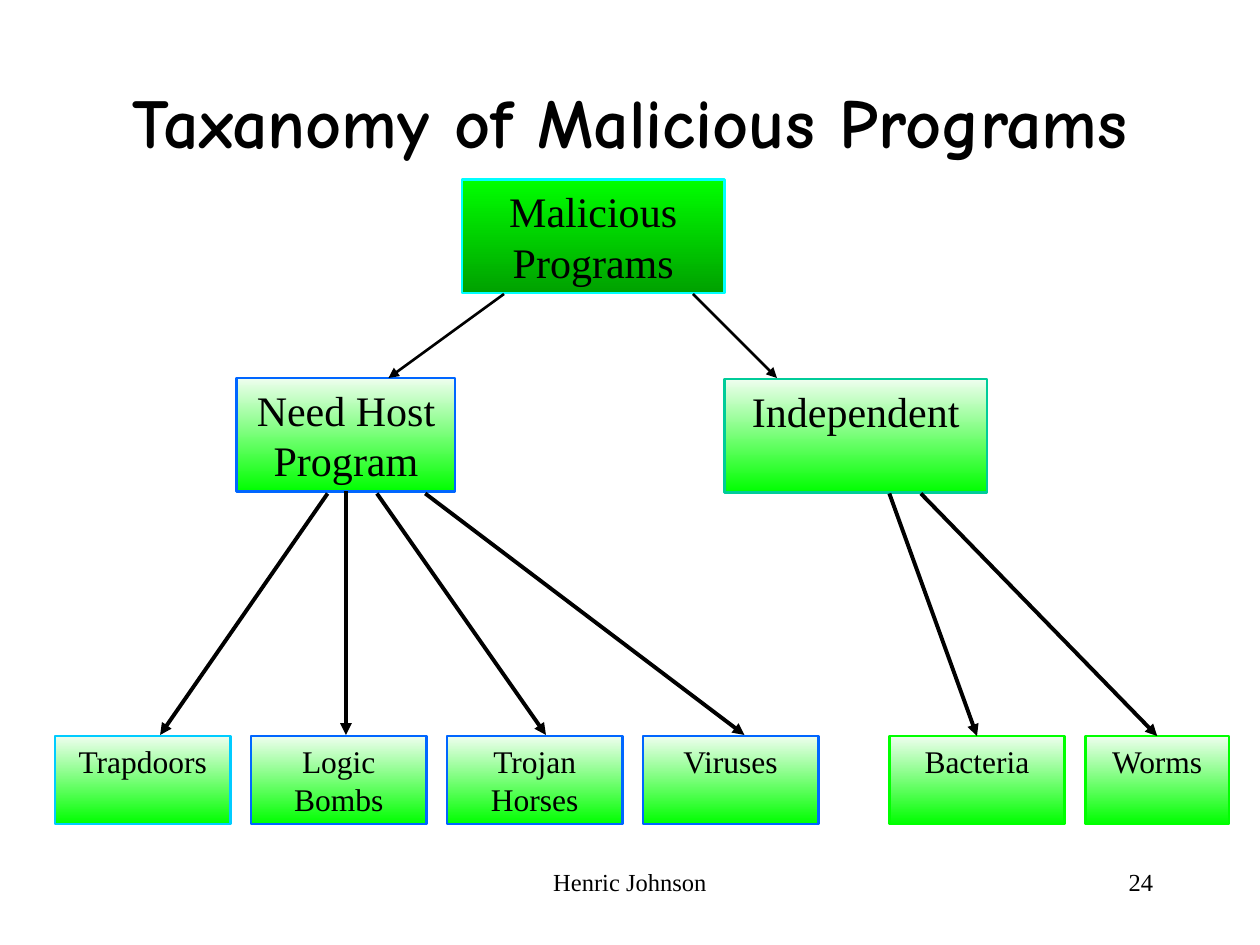
from lxml import etree
from pptx import Presentation
from pptx.dml.color import RGBColor
from pptx.enum.shapes import MSO_CONNECTOR, MSO_SHAPE
from pptx.enum.text import MSO_ANCHOR, PP_ALIGN
from pptx.oxml.ns import qn
from pptx.util import Inches, Pt

RECTANGLE = MSO_SHAPE.RECTANGLE
STRAIGHT = MSO_CONNECTOR.STRAIGHT
CENTER, RIGHT = PP_ALIGN.CENTER, PP_ALIGN.RIGHT
TOP, MIDDLE = MSO_ANCHOR.TOP, MSO_ANCHOR.MIDDLE
TOP_SIDE, BOTTOM_SIDE = 0, 2

COLORS = {
    "ink": "000000",
    "pale": "EFFEEF",
    "green": "00FF00",
    "dark green": "00A100",
    "aqua": "00FFFF",
    "sky": "00CCFF",
    "blue": "0066FF",
    "teal": "00CC99",
}
CELLS_PER_INCH = 12
LEAF_PITCH = 18.66
LEAF_TOP, LEAF_HEIGHT, LEAF_WIDTH = 70.1, 8.4, 16.7
HOST_LEFT, INDEPENDENT_LEFT = 5.25, 84.7
BRANCH_BOTTOM, LEAF_TIP = 47, 70

HOST_LEAVES = [
    ("Trapdoors", "sky", LEAF_WIDTH),
    ("Logic Bombs", "blue", LEAF_WIDTH),
    ("Trojan\nHorses", "blue", LEAF_WIDTH),
    ("Viruses", "blue", LEAF_WIDTH),
]
INDEPENDENT_LEAVES = [
    ("Bacteria", "green", LEAF_WIDTH),
    ("Worms", "green", 13.7),
]
TRUNK_ARROWS = [(48, 28, 37, 36), (66, 28, 74, 36)]
HOST_ARROWS = [(31.2, 15.25), (32.95, 32.95), (35.9, 52), (40.5, 70.9)]
INDEPENDENT_STARTS = [84.7, 87.7]


def cells(*counts):
    return [Inches(count / CELLS_PER_INCH) for count in counts]


def color(name):
    return RGBColor.from_string(COLORS[name])


def write(shape, text, size, align=CENTER, anchor=TOP, font="Times New Roman", bold=False):
    frame = shape.text_frame
    frame.text = text
    frame.word_wrap = True
    frame.vertical_anchor = anchor
    formats = {"name": font, "size": Pt(size), "bold": bold}
    for para in frame.paragraphs:
        para.alignment = align
        for span in para.runs:
            for attribute, value in formats.items():
                setattr(span.font, attribute, value)
            span.font.color.rgb = color("ink")


def add_title(page, text):
    title = page.shapes.title
    title.left, title.top, title.width, title.height = cells(3, 4, 114, 15)
    write(title, text, 40, anchor=MIDDLE, font="Comic Neue", bold=True)


def add_box(page, text, place, outline, size=24, shades=("pale", "green")):
    box = page.shapes.add_shape(RECTANGLE, *cells(*place))
    box.shadow.inherit = False
    box.fill.gradient()
    box.fill.gradient_angle = 270
    for stop, position, shade in zip(box.fill.gradient_stops, (0, 1), shades):
        stop.position = position
        stop.color.rgb = color(shade)
    box.line.color.rgb = color(outline)
    box.line.width = Pt(1.5)
    write(box, text, size)
    return box


def add_leaves(page, leaves, left):
    return [
        add_box(page, text, (left + index * LEAF_PITCH, LEAF_TOP, width, LEAF_HEIGHT), outline, 18)
        for index, (text, outline, width) in enumerate(leaves)
    ]


def add_arrow(page, ends, width=2.25):
    arrow = page.shapes.add_connector(STRAIGHT, *cells(*ends))
    arrow.line.color.rgb = color("ink")
    arrow.line.width = Pt(width)
    etree.SubElement(arrow.line._get_or_add_ln(), qn("a:tailEnd"), type="triangle")
    etree.SubElement(arrow._element.spPr, qn("a:effectLst"))
    return arrow


def add_footer(page, text, place, align):
    write(page.shapes.add_textbox(*cells(*place)), text, 14, align)


def main():
    deck = Presentation()
    deck.slide_width, deck.slide_height = cells(120, 90)
    page = deck.slides.add_slide(deck.slide_layouts[5])

    add_title(page, "Taxanomy of Malicious Programs")
    host = add_box(page, "Need Host Program", (22.55, 36, 20.8, 10.8), "blue")
    add_box(page, "Independent", (69, 36.1, 25, 10.8), "teal")
    add_leaves(page, HOST_LEAVES, HOST_LEFT)
    independent_boxes = add_leaves(page, INDEPENDENT_LEAVES, INDEPENDENT_LEFT)

    host_arrows = [
        add_arrow(page, (start, BRANCH_BOTTOM, end, LEAF_TIP)) for start, end in HOST_ARROWS
    ]
    host_arrows[1].begin_connect(host, BOTTOM_SIDE)
    for start, leaf in zip(INDEPENDENT_STARTS, independent_boxes):
        arrow = add_arrow(page, (start, BRANCH_BOTTOM, start, LEAF_TIP))
        arrow.end_connect(leaf, TOP_SIDE)

    add_box(page, "Malicious Programs", (44, 17.1, 25, 10.8), "aqua",
            shades=("green", "dark green"))
    for ends in TRUNK_ARROWS:
        add_arrow(page, ends, 1.5)

    add_footer(page, "Henric Johnson", (41, 82, 38, 6), CENTER)
    add_footer(page, "24", (86, 82, 25, 6), RIGHT)
    deck.save("out.pptx")


if __name__ == "__main__":
    main()
